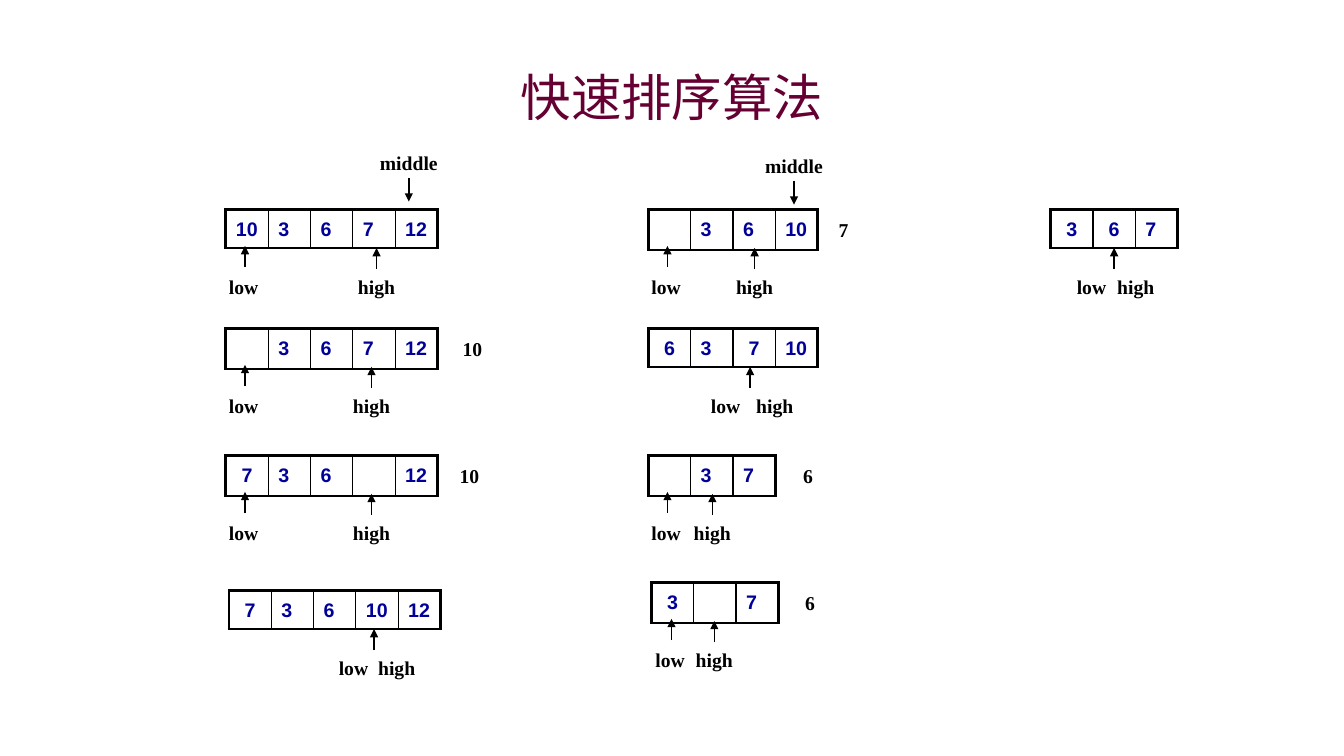
from dataclasses import dataclass

from lxml.etree import SubElement
from pptx import Presentation
from pptx.dml.color import RGBColor
from pptx.enum.shapes import MSO_CONNECTOR
from pptx.enum.text import MSO_ANCHOR, PP_ALIGN as Align
from pptx.oxml.ns import qn
from pptx.util import Inches, Pt


@dataclass(frozen=True)
class Theme:
    title_color: str = "660033"
    number_color: str = "000099"
    ink: str = "000000"
    title_size: int = 36
    body_size: int = 14
    sans: str = "Arial"
    serif: str = "Times New Roman"
    thick: float = 2.25
    thin: float = 1


@dataclass(frozen=True)
class Step:
    left: float
    top: float
    values: tuple
    low: float  # left of the "low" label
    high: float  # left of the "high" label
    centred: tuple = ()  # columns whose number is centred
    shared: float = 0  # the one arrow when low meets high
    pivot: tuple = ()  # saved value and its left
    middle: tuple = ()  # left and top of the "middle" label


theme = Theme()
CELL_WIDTH, CELL_HEIGHT = 0.42, 0.38
LABEL_WIDTH, SHORT_WIDTH, LABEL_HEIGHT = 0.63, 0.35, 0.24

steps = [
    Step(2.24, 2.08, ("10", "3", "6", "7", "12"), 2.27, 3.42, middle=(3.74, 1.49)),
    Step(2.24, 3.26, ("", "3", "6", "7", "12"), 2.27, 3.37, pivot=("10", 4.51)),
    Step(2.24, 4.52, ("7", "3", "6", "", "12"), 2.27, 3.37, (0,), pivot=("10", 4.48)),
    Step(2.27, 5.86, ("7", "3", "6", "10", "12"), 3.36, 3.62, (0,), shared=3.71),
    Step(6.43, 2.08, ("", "3", "6", "10"), 6.46, 7.17,
         pivot=("7", 8.19), middle=(7.56, 1.52)),
    Step(6.43, 3.26, ("6", "3", "7", "10"), 7.05, 7.37, (0, 2), shared=7.44),
    Step(6.43, 4.52, ("", "3", "7"), 6.46, 6.75, pivot=("6", 7.84)),
    Step(6.46, 5.78, ("3", "", "7"), 6.5, 6.77, (0,), pivot=("6", 7.86)),
    Step(10.42, 2.08, ("3", "6", "7"), 10.68, 10.95, (0, 1), shared=11.05),
]

deck = Presentation()
deck.slide_width, deck.slide_height = Inches(13.33), Inches(7.5)
page = deck.slides.add_slide(deck.slide_layouts[6])


def add_text(text, left, top, width, height=LABEL_HEIGHT, align=Align.CENTER,
             font=theme.serif, size=theme.body_size, color=theme.ink, bold=True):
    box = page.shapes.add_textbox(Inches(left), Inches(top), Inches(width), Inches(height))
    frame = box.text_frame
    frame.word_wrap = True
    frame.vertical_anchor = MSO_ANCHOR.MIDDLE
    frame.margin_left = frame.margin_right = frame.margin_top = frame.margin_bottom = 0
    para = frame.paragraphs[0]
    para.alignment = align
    span = para.add_run()
    span.text = text
    span.font.name, span.font.size, span.font.bold = font, Pt(size), bold
    span.font.color.rgb = RGBColor.from_string(color)


def add_arrow(x, start, end):
    """Draw a vertical arrow pointing at end."""
    arrow = page.shapes.add_connector(
        MSO_CONNECTOR.STRAIGHT, Inches(x), Inches(start), Inches(x), Inches(end))
    arrow.line.color.rgb = RGBColor.from_string(theme.ink)
    arrow.line.width = Pt(theme.thin)
    SubElement(arrow.line._get_or_add_ln(), qn("a:tailEnd"), type="triangle")
    SubElement(arrow._element.spPr, qn("a:effectLst"))


add_text("快速排序算法", 1, 0.58, 11.33, 0.75, font=theme.sans,
         size=theme.title_size, color=theme.title_color, bold=False)

for step in steps:
    count = len(step.values)
    table = page.shapes.add_table(
        1, count, Inches(step.left), Inches(step.top),
        Inches(CELL_WIDTH * count), Inches(CELL_HEIGHT)).table
    table.first_row = table.horz_banding = False

    for column, value in enumerate(step.values):
        table.columns[column].width = Inches(CELL_WIDTH)
        cell = table.cell(0, column)
        para = cell.text_frame.paragraphs[0]
        para.alignment = Align.CENTER if column in step.centred else Align.LEFT
        para.line_spacing = 1.2
        span = para.add_run()
        span.text = value
        span.font.name, span.font.size = theme.sans, Pt(theme.body_size)
        span.font.bold = True
        span.font.color.rgb = RGBColor.from_string(theme.number_color)

        borders = {
            "a:lnL": theme.thick if column == 0 else theme.thin,
            "a:lnR": theme.thick if column == count - 1 else theme.thin,
            "a:lnT": theme.thick,
            "a:lnB": theme.thick,
        }
        properties = cell._tc.get_or_add_tcPr()
        for side, width in borders.items():
            border = SubElement(properties, qn(side), w=str(Pt(width)))
            fill = SubElement(border, qn("a:solidFill"))
            SubElement(fill, qn("a:srgbClr"), val=theme.ink)
        cell.fill.background()

    bottom = step.top + CELL_HEIGHT
    add_text("high", step.high, bottom + 0.26, LABEL_WIDTH)
    add_text("low", step.low, bottom + 0.26, SHORT_WIDTH, align=Align.LEFT)
    add_arrow(step.shared or step.high + LABEL_WIDTH / 2, bottom + 0.21, bottom)
    if not step.shared:
        add_arrow(step.low + 0.16, bottom + 0.19, bottom - 0.02)
    if step.pivot:
        value, left = step.pivot
        add_text(value, left, step.top + 0.08, SHORT_WIDTH)
    if step.middle:
        left, top = step.middle
        add_text("middle", left, top, LABEL_WIDTH)
        add_arrow(left + LABEL_WIDTH / 2, top + 0.28, top + 0.51)

deck.save("out.pptx")
